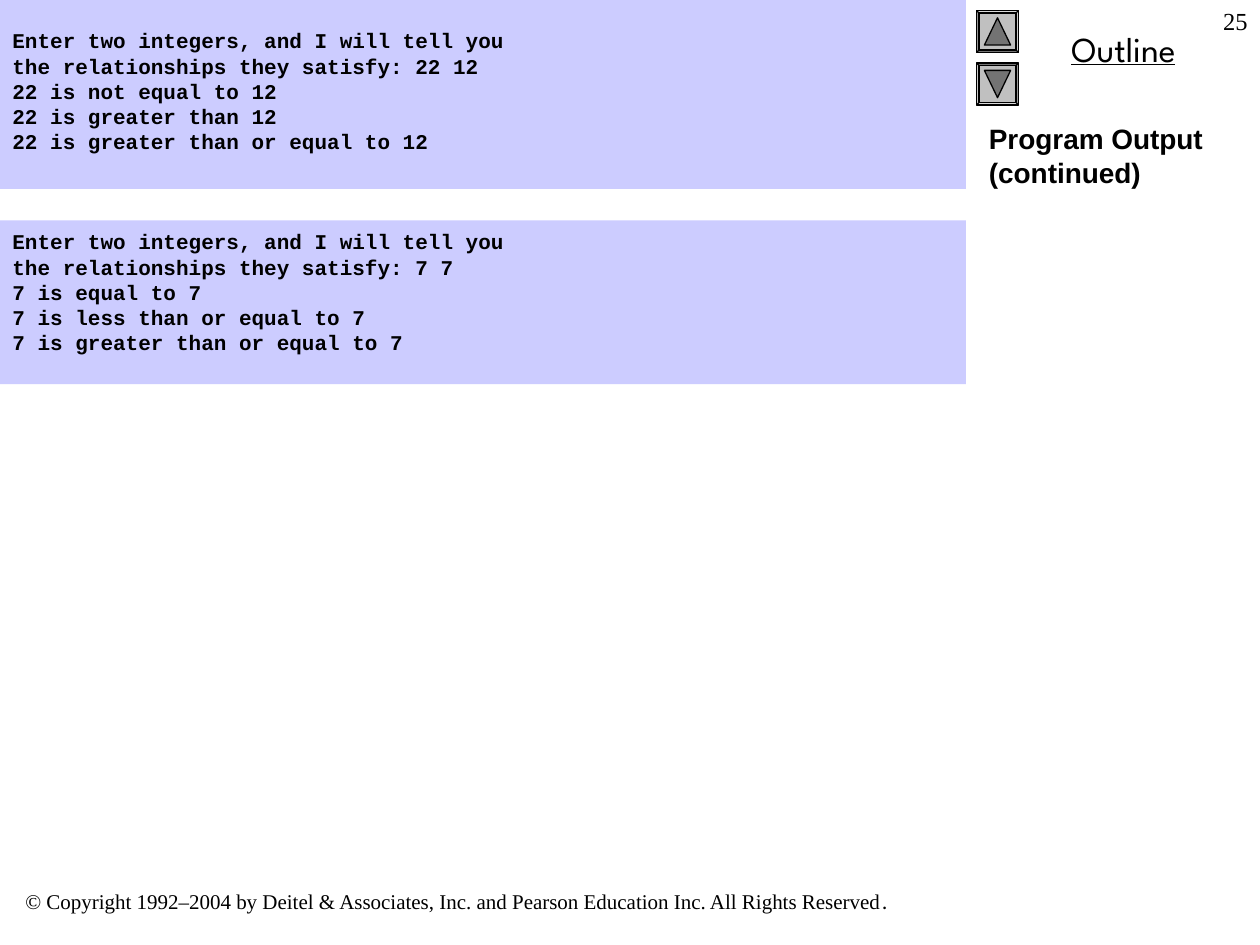
"""Build the program output slide with two console panels and an outline column."""
import pptx
import pptx.util
import pptx.dml.color
import pptx.enum.shapes
import pptx.enum.text

Pt = pptx.util.Pt
Shape = pptx.enum.shapes.MSO_SHAPE
Align = pptx.enum.text.PP_ALIGN

THEME = {
    "ink": "000000", "panel": "CCCCFF", "face": "C0C0C0", "mark": "737373",
    "code": ("Courier New", 12), "head": ("Arial", 16),
    "nav": ("League Spartan", 20), "foot": ("Times New Roman", 12),
    "page": ("Times New Roman", 14), "lead": 14.4,
}

PANELS = [
    ((0, 0, 552, 108), 16, [
        "Enter two integers, and I will tell you",
        "the relationships they satisfy: 22 12",
        "22 is not equal to 12",
        "22 is greater than 12",
        "22 is greater than or equal to 12"]),
    ((0, 126, 552, 93.6), 4.8, [
        "Enter two integers, and I will tell you",
        "the relationships they satisfy: 7 7",
        "7 is equal to 7",
        "7 is less than or equal to 7",
        "7 is greater than or equal to 7"]),
]

LABELS = [
    ((564, 12, 156, 32), "nav", Align.CENTER, ["Outline"]),
    ((0, 504, 522, 21.6), "foot", Align.CENTER, [
        "© Copyright 1992–2004 by Deitel & Associates, Inc. and Pearson "
        "Education Inc. All Rights Reserved", "."]),
    ((684, 0, 36, 36), "page", Align.RIGHT, ["25"]),
    ((558, 66, 162, 378), "head", Align.LEFT, ["Program Output (continued)"]),
]

BUTTONS = [(6, 90, 0), (36, 270, 180)]
LEFT, SIDE, WIDE, TALL, RIM = 558, 24, 15, 15.6, 0.06


def color(key):
    return pptx.dml.color.RGBColor.from_string(THEME[key])


def style(font, key):
    font.name, size = THEME[key]
    font.size = Pt(size)
    font.color.rgb = color("ink")
    font.bold = key in ("code", "head")
    font.underline = key == "nav"


def frame(shape, top=3.6):
    text = shape.text_frame
    text.word_wrap = True
    text.vertical_anchor = pptx.enum.text.MSO_ANCHOR.TOP
    text.margin_left = text.margin_right = Pt(7.2)
    text.margin_top, text.margin_bottom = Pt(top), Pt(3.6)
    return text


def block(slide, kind, box, fill, line=False):
    shape = slide.shapes.add_shape(kind, *map(Pt, box))
    shape.shadow.inherit = False
    shape.fill.solid()
    shape.fill.fore_color.rgb = color(fill)
    if line:
        shape.line.color.rgb = color("ink")
        shape.line.width = Pt(0.75)
    else:
        shape.line.fill.background()
    return shape


def panel(slide, box, top, lines):
    text = frame(block(slide, Shape.RECTANGLE, box, "panel"), top)
    text.text = "\v".join(lines)
    para = text.paragraphs[0]
    para.alignment = Align.LEFT
    para.line_spacing = Pt(THEME["lead"])
    for run in para.runs:
        style(run.font, "code")


def label(slide, box, key, align, parts):
    text = frame(slide.shapes.add_textbox(*map(Pt, box)))
    para = text.paragraphs[0]
    para.alignment = align
    for part in parts:
        run = para.add_run()
        run.text = part
        style(run.font, key)
        if part == ".":
            run.font.name = THEME["nav"][0]


def button(slide, top, turn, flip):
    base = block(slide, Shape.BEVEL, (LEFT, top, SIDE, SIDE), "face", True)
    base.adjustments[0] = RIM
    base.rotation = turn
    box = (LEFT + (SIDE - WIDE) / 2, top + (SIDE - TALL) / 2, WIDE, TALL)
    mark = block(slide, Shape.ISOSCELES_TRIANGLE, box, "mark", True)
    mark.rotation = flip


def main():
    deck = pptx.Presentation()
    deck.slide_width, deck.slide_height = Pt(720), Pt(540)
    slide = deck.slides.add_slide(deck.slide_layouts[6])
    for item in BUTTONS:
        button(slide, *item)
    for item in LABELS:
        label(slide, *item)
    for item in PANELS:
        panel(slide, *item)
    deck.save("out.pptx")


if __name__ == "__main__":
    main()
